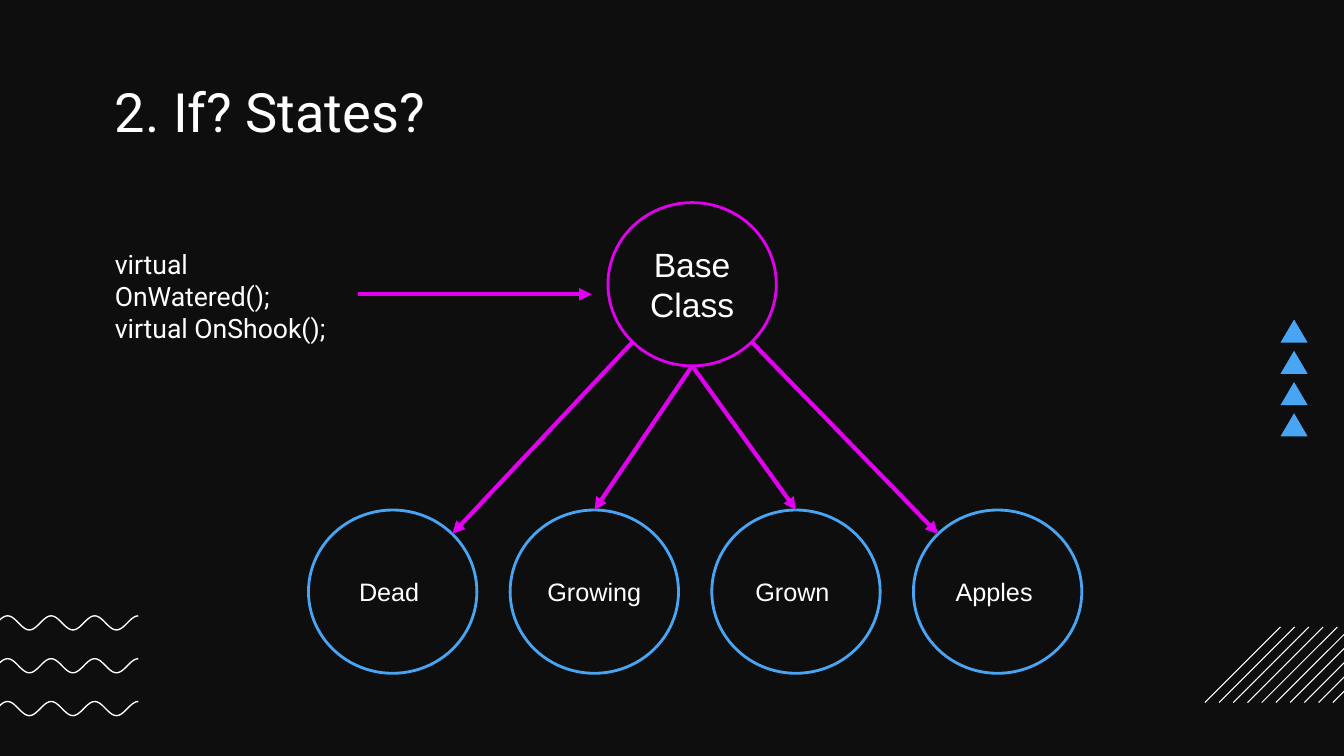
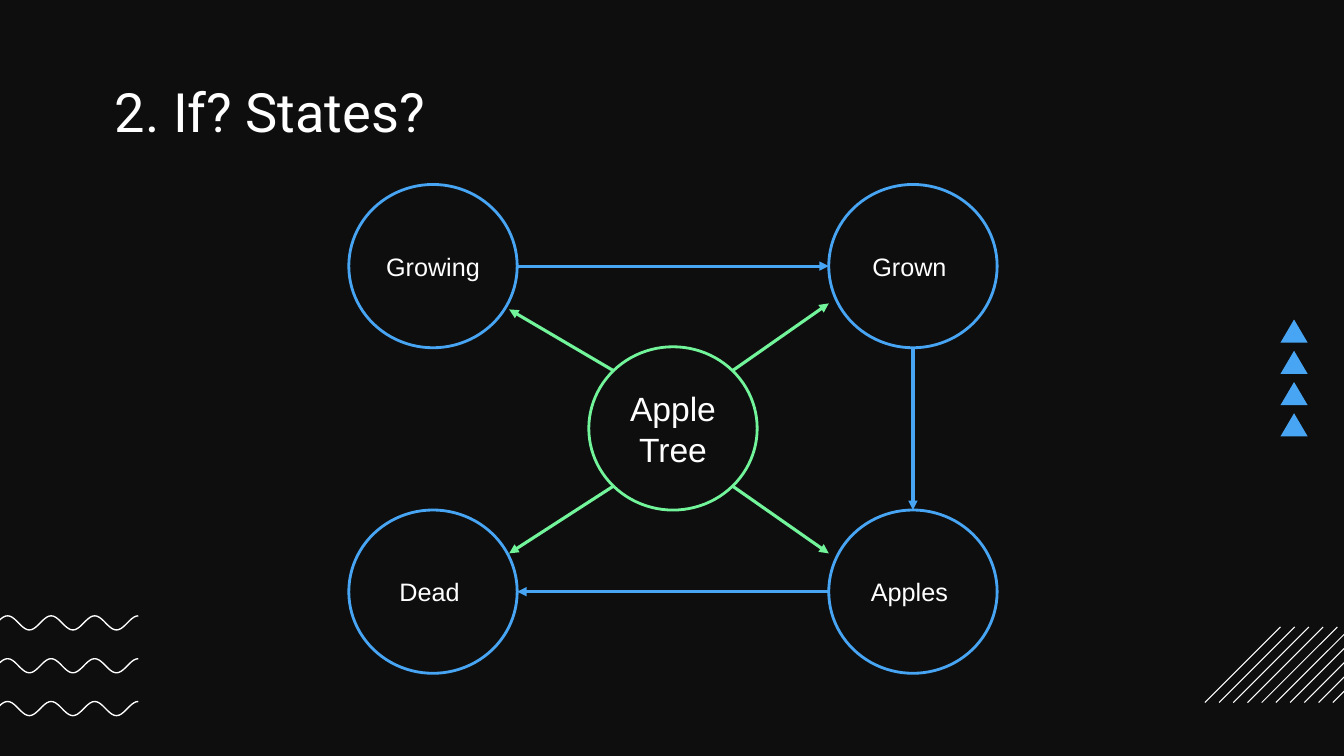
from math import cos, hypot, pi

from lxml import etree
from pptx import Presentation
from pptx.dml.color import RGBColor
from pptx.enum.shapes import MSO_CONNECTOR, MSO_SHAPE
from pptx.enum.text import MSO_ANCHOR, MSO_AUTO_SIZE, PP_ALIGN
from pptx.oxml.ns import qn
from pptx.util import Inches, Pt

BLACK, WHITE = "0E0E0E", "FFFFFF"
BLUE, MAGENTA, GREEN = "47A5F3", "E100F0", "72F49A"
TITLE_FONT, NODE_FONT = "Roboto", "Arial"
NODE_WIDTH, NODE_HEIGHT = 1.67, 1.62
BOTTOM_ROW = 5.06

LEFT, RIGHT, TOP, BOTTOM = (-1, 0), (1, 0), (0, -1), (0, 1)
TOP_LEFT, TOP_RIGHT, BOTTOM_LEFT, BOTTOM_RIGHT = (-1, -1), (1, -1), (-1, 1), (1, 1)

TITLE = "2. If? States?"
METHODS = ["virtual OnWatered();", "virtual OnShook();"]
STATES = ["Dead ", "Growing ", "Grown ", "Apples "]

BASE_CLASS = (6.03, 2.01)
INHERITANCE = [
    (BOTTOM_LEFT, TOP_RIGHT),
    (BOTTOM, TOP),
    (BOTTOM, TOP),
    (BOTTOM_RIGHT, TOP_LEFT),
]

APPLE_TREE = (5.84, 3.44)
CYCLE_NODES = {
    "Growing ": (3.46, 1.83),
    "Grown ": (8.22, 1.83),
    "Apples ": (8.22, BOTTOM_ROW),
    "Dead ": (3.46, BOTTOM_ROW),
}
CYCLE_ARROWS = [
    ("Growing ", RIGHT, "Grown ", LEFT),
    ("Grown ", BOTTOM, "Apples ", TOP),
    ("Apples ", LEFT, "Dead ", RIGHT),
]
TREE_ARROWS = [
    (TOP_RIGHT, (8.22, 3.01)),
    (BOTTOM_RIGHT, (8.22, 5.49)),
    (BOTTOM_LEFT, (5.05, 5.49)),
    (TOP_LEFT, (5.05, 3.07)),
]


def color(value):
    return RGBColor.from_string(value)


def style_text(text_frame, lines, font, size, alignment=PP_ALIGN.LEFT):
    text_frame.text = "\n".join(lines)
    text_frame.word_wrap = True
    text_frame.auto_size = MSO_AUTO_SIZE.NONE
    for paragraph in text_frame.paragraphs:
        paragraph.alignment = alignment
        paragraph.font.name = font
        paragraph.font.size = Pt(size)
        paragraph.font.color.rgb = color(WHITE)


def set_insets(text_frame):
    text_frame.margin_left = text_frame.margin_right = Inches(0.1)
    text_frame.margin_top = 0
    text_frame.margin_bottom = Inches(0.1)
    text_frame.vertical_anchor = MSO_ANCHOR.TOP


def add_line(slide, start, end, line_color, width, arrow=False):
    points = [Inches(value) for value in (*start, *end)]
    connector = slide.shapes.add_connector(MSO_CONNECTOR.STRAIGHT, *points)
    connector.line.color.rgb = color(line_color)
    connector.line.width = Pt(width)
    if arrow:
        etree.SubElement(connector.line._get_or_add_ln(), qn("a:tailEnd"), type="triangle")
    etree.SubElement(connector._element.spPr, qn("a:effectLst"))
    return connector


def add_wave(slide, top):
    left, half_wave, height, count, steps = -0.14, 0.216, 0.14, 7, 10
    points = [
        (
            Inches(left + half_wave * step / steps),
            Inches(top + height * (1 + cos(pi * step / steps)) / 2),
        )
        for step in range(count * steps + 1)
    ]
    builder = slide.shapes.build_freeform(*points[0])
    builder.add_line_segments(points[1:], close=False)
    wave = builder.convert_to_shape()
    wave.shadow.inherit = False
    wave.fill.background()
    wave.line.color.rgb = color(WHITE)
    wave.line.width = Pt(0.95)
    return wave


def add_triangle(slide, top):
    triangle = slide.shapes.add_shape(
        MSO_SHAPE.ISOSCELES_TRIANGLE, Inches(12.7), Inches(top), Inches(0.27), Inches(0.23)
    )
    triangle.shadow.inherit = False
    triangle.fill.solid()
    triangle.fill.fore_color.rgb = color(BLUE)
    triangle.line.fill.background()
    return triangle


def decorate_layout(slide, layout):
    decorations = [add_wave(slide, 6.11 + 0.425 * row) for row in range(3)]
    decorations += [add_triangle(slide, 3.17 + 0.31 * row) for row in range(4)]
    for column in range(10):
        left = 11.95 + 0.141 * column
        decorations.append(add_line(slide, (left + 0.75, 6.22), (left, 6.97), WHITE, 0.75))
    for shape in decorations:
        layout.shapes.element.append(shape._element)


def add_titled_slide(presentation, layout):
    slide = presentation.slides.add_slide(layout)
    text_frame = slide.shapes.title.text_frame
    style_text(text_frame, [TITLE], TITLE_FONT, 38.7)
    set_insets(text_frame)
    return slide


def add_node(slide, text, position, line_color, size=18):
    left, top = position
    node = slide.shapes.add_shape(
        MSO_SHAPE.OVAL, Inches(left), Inches(top), Inches(NODE_WIDTH), Inches(NODE_HEIGHT)
    )
    node.shadow.inherit = False
    node.fill.background()
    node.line.color.rgb = color(line_color)
    node.line.width = Pt(2)
    style_text(node.text_frame, [text], NODE_FONT, size, PP_ALIGN.CENTER)
    node.text_frame.vertical_anchor = MSO_ANCHOR.MIDDLE


def edge_point(position, direction):
    left, top = position
    across, down = direction
    length = hypot(across, down)
    return (
        left + NODE_WIDTH / 2 * (1 + across / length),
        top + NODE_HEIGHT / 2 * (1 + down / length),
    )


def build_inheritance(slide):
    add_node(slide, "Base Class", BASE_CLASS, MAGENTA, 24)
    for index, (state, (start, end)) in enumerate(zip(STATES, INHERITANCE)):
        position = (3.06 + 2 * index, BOTTOM_ROW)
        add_node(slide, state, position, BLUE)
        add_line(
            slide, edge_point(BASE_CLASS, start), edge_point(position, end), MAGENTA, 3, True
        )
    methods = slide.shapes.add_textbox(Inches(1.04), Inches(2.46), Inches(2.5), Inches(0.94))
    style_text(methods.text_frame, METHODS, TITLE_FONT, 19)
    set_insets(methods.text_frame)
    add_line(slide, (3.55, 2.92), (5.87, 2.92), MAGENTA, 3, True)


def build_cycle(slide):
    add_node(slide, "Apple Tree", APPLE_TREE, GREEN, 24)
    for state, position in CYCLE_NODES.items():
        add_node(slide, state, position, BLUE)
    for direction, end in TREE_ARROWS:
        add_line(slide, edge_point(APPLE_TREE, direction), end, GREEN, 2.25, True)
    for source, start, target, end in CYCLE_ARROWS:
        add_line(
            slide,
            edge_point(CYCLE_NODES[source], start),
            edge_point(CYCLE_NODES[target], end),
            BLUE,
            2.25,
            True,
        )


def main():
    presentation = Presentation()
    presentation.slide_width = Inches(13.33)
    presentation.slide_height = Inches(7.5)
    background = presentation.slide_master.background.fill
    background.solid()
    background.fore_color.rgb = color(BLACK)

    layout = presentation.slide_layouts.get_by_name("Title Only")
    title = layout.placeholders[0]
    title.left, title.top = Inches(1.04), Inches(0.78)
    title.width, title.height = Inches(11.25), Inches(0.61)

    inheritance_slide = add_titled_slide(presentation, layout)
    decorate_layout(inheritance_slide, layout)
    build_inheritance(inheritance_slide)
    build_cycle(add_titled_slide(presentation, layout))
    presentation.save("out.pptx")


if __name__ == "__main__":
    main()
